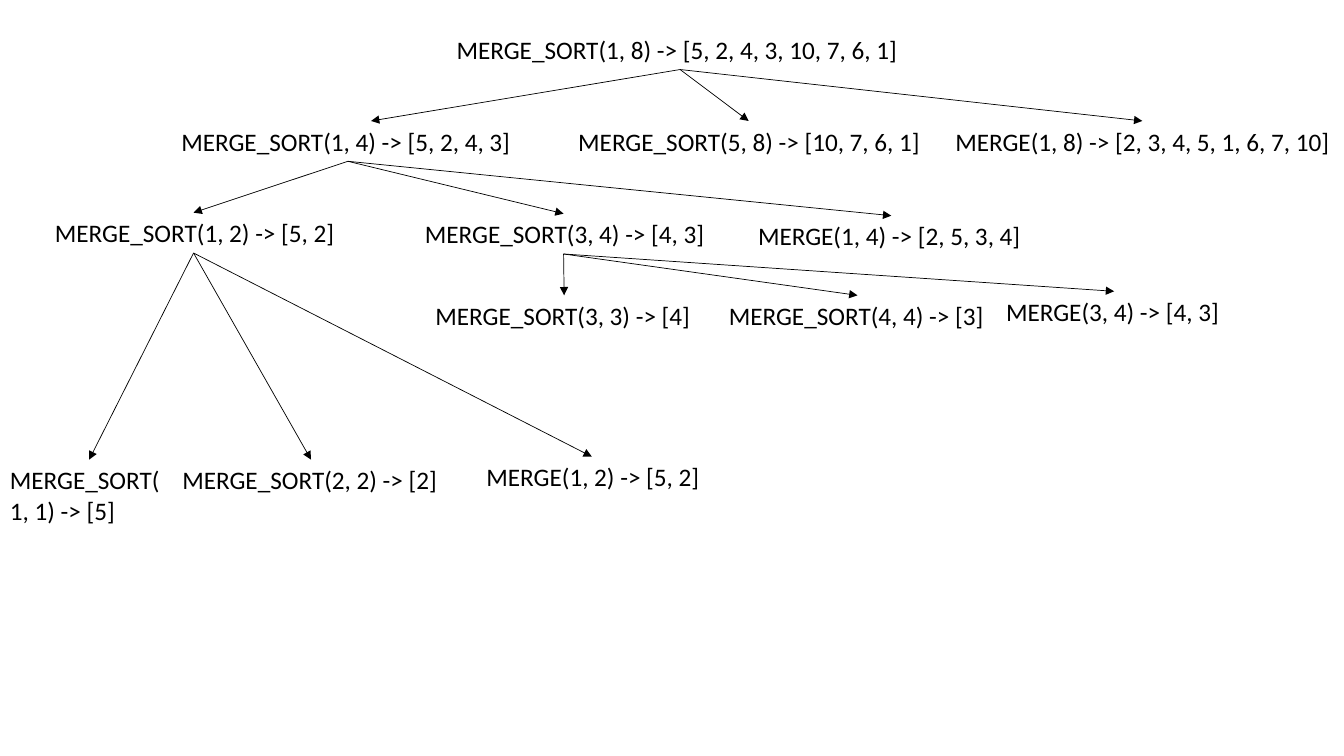
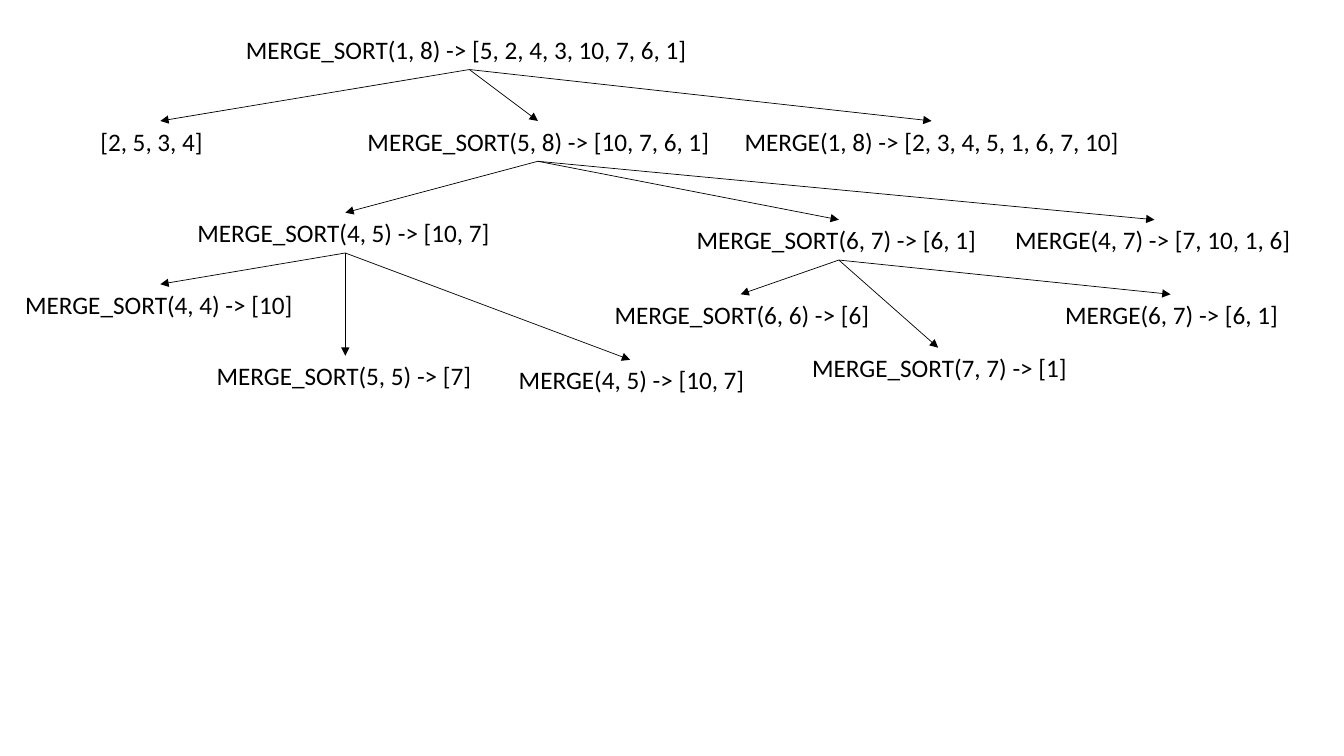
from dataclasses import dataclass

from lxml.etree import SubElement
from pptx import Presentation
from pptx.dml.color import RGBColor
from pptx.enum.shapes import MSO_CONNECTOR
from pptx.enum.text import MSO_AUTO_SIZE
from pptx.oxml.ns import qn
from pptx.util import Inches, Pt

BLACK = "000000"
FONT = "Calibri"
ROW_H = 0.4
TOP, BOTTOM = 0, 2


@dataclass
class Call:
    text: str
    dx: float
    dy: float
    w: float
    children: tuple = ()
    h: float = ROW_H
    wrap: bool = False
    tip: float = None


def paint(color_format, hex_color):
    color_format.rgb = RGBColor.from_string(hex_color)


def add_text(s, text, x, y, w, h=ROW_H, size=18, color=BLACK, wrap=False):
    sp = s.shapes.add_textbox(Inches(x), Inches(y), Inches(w), Inches(h))
    tf = sp.text_frame
    tf.word_wrap = wrap
    tf.auto_size = MSO_AUTO_SIZE.SHAPE_TO_FIT_TEXT
    r = tf.paragraphs[0].add_run()
    r.text = text
    r.font.name = FONT
    r.font.size = Pt(size)
    paint(r.font.color, color)
    return sp


def add_arrow(s, parent, child, tip_x=None):
    end_x = child.left + child.width // 2 if tip_x is None else Inches(tip_x)
    cn = s.shapes.add_connector(MSO_CONNECTOR.STRAIGHT, 0, 0, end_x, child.top)
    cn.begin_connect(parent, BOTTOM)
    if tip_x is None:
        cn.end_connect(child, TOP)
    cn.line.width = Pt(0.5)
    paint(cn.line.color, BLACK)
    SubElement(cn.line._get_or_add_ln(), qn("a:tailEnd"), type="triangle")
    SubElement(cn._element.spPr, qn("a:effectLst"))


def draw_tree(s, call, x=0, y=0, parent=None):
    x, y = x + call.dx, y + call.dy
    sp = add_text(s, call.text, x, y, call.w, call.h, wrap=call.wrap)
    if parent is not None:
        add_arrow(s, parent, sp, None if call.tip is None else x + call.tip)
    for child in call.children:
        draw_tree(s, child, x, y, sp)


def add_tree_slide(prs, left, first_half, second_half_calls=()):
    s = prs.slides.add_slide(prs.slide_layouts[6])
    root = Call("MERGE_SORT(1, 8) -> [5, 2, 4, 3, 10, 7, 6, 1]", left, 0.29, 4.63, (
        first_half,
        Call(" MERGE_SORT(5, 8) -> [10, 7, 6, 1]", 1.15, 0.91, 3.69, second_half_calls),
        Call(" MERGE(1, 8) -> [2, 3, 4, 5, 1, 6, 7, 10]", 4.89, 0.91, 4.02),
    ))
    draw_tree(s, root)


FIRST_HALF = Call("MERGE_SORT(1, 4) -> [5, 2, 4, 3]", -2.73, 0.91, 3.5, (
    Call(" MERGE_SORT(1, 2) -> [5, 2]", -1.31, 0.91, 3.06, (
        Call("MERGE_SORT(1, 1) -> [5]", -0.39, 2.45, 1.77, h=0.71, wrap=True),
        Call("MERGE_SORT(2, 2) -> [2]", 1.32, 2.45, 2.75),
        Call(" MERGE(1, 2) -> [5, 2]", 4.28, 2.42, 2.4),
    )),
    Call(" MERGE_SORT(3, 4) -> [4, 3]", 2.36, 0.92, 3.06, (
        Call("MERGE_SORT(3, 3) -> [4]", 0.16, 0.81, 2.75),
        Call("MERGE_SORT(4, 4) -> [3]", 3.07, 0.81, 2.75),
        Call("MERGE(3, 4) -> [4, 3]", 5.82, 0.77, 2.34),
    )),
    Call("MERGE(1, 4) -> [2, 5, 3, 4]", 5.72, 0.94, 2.84),
), tip=1.98)

FIRST_HALF_RESULT = Call(" [2, 5, 3, 4]", -1.5, 0.91, 1.29, tip=0.75)

SECOND_HALF_CALLS = (
    Call("MERGE_SORT(4, 5) -> [10, 7]", -1.63, 0.91, 3.13, (
        Call("MERGE_SORT(4, 4) -> [10]", -1.71, 0.71, 2.88),
        Call("MERGE_SORT(5, 5) -> [7]", 0.19, 1.42, 2.75),
        Call(" MERGE(4, 5) -> [10, 7]", 3.13, 1.46, 2.52),
    )),
    Call("MERGE_SORT(6, 7) -> [6, 1]", 3.32, 0.98, 3.02, (
        Call(" MERGE_SORT(6, 6) -> [6]", -0.87, 0.74, 2.81),
        Call(" MERGE_SORT(7, 7) -> [1]", 1.09, 1.27, 2.81),
        Call(" MERGE(6, 7) -> [6, 1]", 3.6, 0.74, 2.4),
    ), wrap=True),
    Call("MERGE(4, 7) -> [7, 10, 1, 6]", 6.48, 0.98, 2.96),
)


def main():
    prs = Presentation()
    prs.slide_width, prs.slide_height = Inches(13.33), Inches(7.5)
    add_tree_slide(prs, 4.43, FIRST_HALF)
    add_tree_slide(prs, 2.34, FIRST_HALF_RESULT, SECOND_HALF_CALLS)
    prs.save("out.pptx")


if __name__ == "__main__":
    main()
